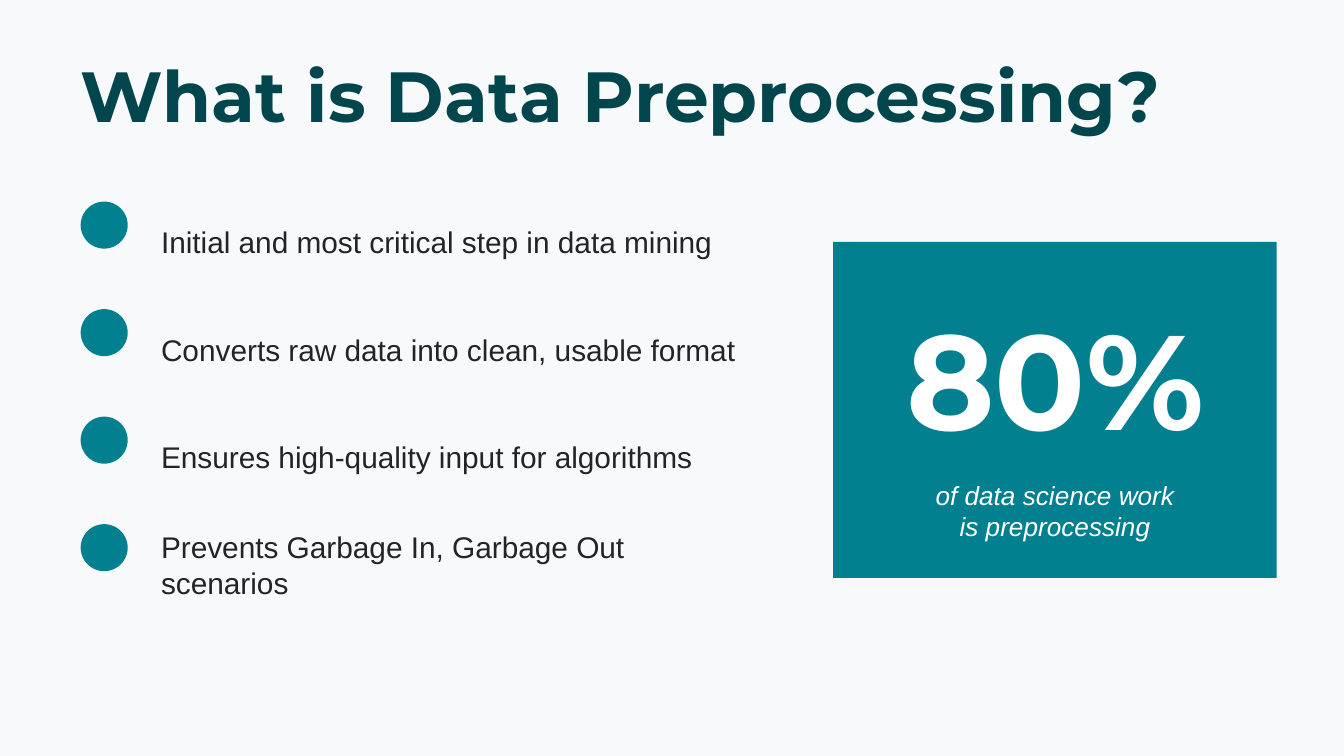
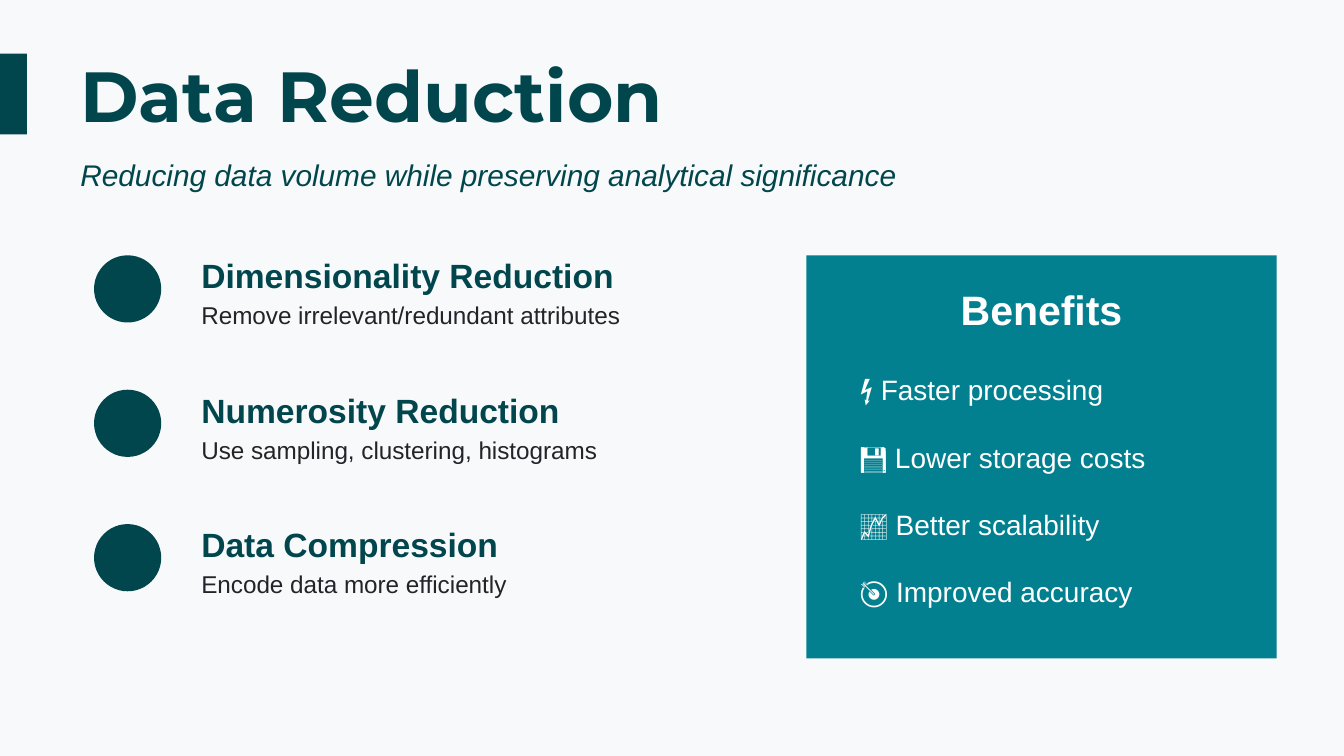
import pptx
import pptx.util
import pptx.dml.color
import pptx.enum.shapes
import pptx.enum.text

DARK, TEAL, INK, WHITE, PAPER = "01464D", "028090", "212529", "FFFFFF", "F8F9FA"
OVAL = pptx.enum.shapes.MSO_SHAPE.OVAL
RECTANGLE = pptx.enum.shapes.MSO_SHAPE.RECTANGLE
LEFT = pptx.enum.text.PP_ALIGN.LEFT
CENTER = pptx.enum.text.PP_ALIGN.CENTER
Pt = pptx.util.Pt


def paint(fill, color):
    fill.solid()
    fill.fore_color.rgb = pptx.dml.color.RGBColor.from_string(color)


def add_item(slide, frame, color, lines=(), size=16, font="Arial",
             bold=False, italic=False, align=LEFT, kind=None):
    place = [Pt(value) for value in frame]
    if kind is not None:
        shape = slide.shapes.add_shape(kind, *place)
        shape.shadow.inherit = False
        paint(shape.fill, color)
        shape.line.fill.background()
        return
    box = slide.shapes.add_textbox(*place).text_frame
    box.word_wrap = True
    box.vertical_anchor = pptx.enum.text.MSO_ANCHOR.MIDDLE
    for index, line in enumerate(lines):
        para = box.add_paragraph() if index else box.paragraphs[0]
        para.alignment = align
        span = para.add_run()
        span.text = line
        span.font.name = font
        span.font.size = Pt(size)
        span.font.bold = bold
        span.font.italic = italic
        paint(span.font.fill, color)


deck = pptx.Presentation()
deck.slide_width = Pt(720)
deck.slide_height = Pt(405)

pages = []
for title in ["What is Data Preprocessing?", "Data Reduction"]:
    page = deck.slides.add_slide(deck.slide_layouts[6])
    paint(page.background.fill, PAPER)
    add_item(page, (36, 28.8, 648, 43.2), DARK, [title], 38, "Montserrat", bold=True)
    pages.append(page)
intro, reduction = pages

points = [
    "Initial and most critical step in data mining",
    "Converts raw data into clean, usable format",
    "Ensures high-quality input for algorithms",
    "Prevents Garbage In, Garbage Out scenarios",
]
for row, point in enumerate(points):
    top = 108 + 57.6 * row
    add_item(intro, (43.2, top, 25.2, 25.2), TEAL, kind=OVAL)
    add_item(intro, (79.2, top, 324, 43.2), INK, [point])

add_item(intro, (446.4, 129.6, 237.6, 180), TEAL, kind=RECTANGLE)
add_item(intro, (446.4, 158.4, 237.6, 86.4), WHITE, ["80%"], 72, "Montserrat",
         bold=True, align=CENTER)
add_item(intro, (446.4, 252, 237.6, 43.2), WHITE,
         ["of data science work", "is preprocessing"], 14, italic=True, align=CENTER)

add_item(reduction, (0, 28.8, 14.4, 43.2), DARK, kind=RECTANGLE)
add_item(reduction, (36, 79.2, 648, 28.8), DARK,
         ["Reducing data volume while preserving analytical significance"], italic=True)

methods = [
    ("Dimensionality Reduction", "Remove irrelevant/redundant attributes"),
    ("Numerosity Reduction", "Use sampling, clustering, histograms"),
    ("Data Compression", "Encode data more efficiently"),
]
for row, (method, detail) in enumerate(methods):
    top = 136.8 + 72 * row
    add_item(reduction, (50.4, top, 36, 36), DARK, kind=OVAL)
    add_item(reduction, (100.8, top, 288, 21.6), DARK, [method], 18, bold=True)
    add_item(reduction, (100.8, top + 23.04, 288, 18), INK, [detail], 13)

add_item(reduction, (432, 136.8, 252, 216), TEAL, kind=RECTANGLE)
add_item(reduction, (432, 151.2, 252, 28.8), WHITE, ["Benefits"], 22,
         bold=True, align=CENTER)
benefits = [
    "⚡ Faster processing",
    "💾 Lower storage costs",
    "📈 Better scalability",
    "🎯 Improved accuracy",
]
for row, benefit in enumerate(benefits):
    add_item(reduction, (453.6, 194.4 + 36 * row, 208.8, 28.8), WHITE, [benefit], 15)

deck.save("out.pptx")
